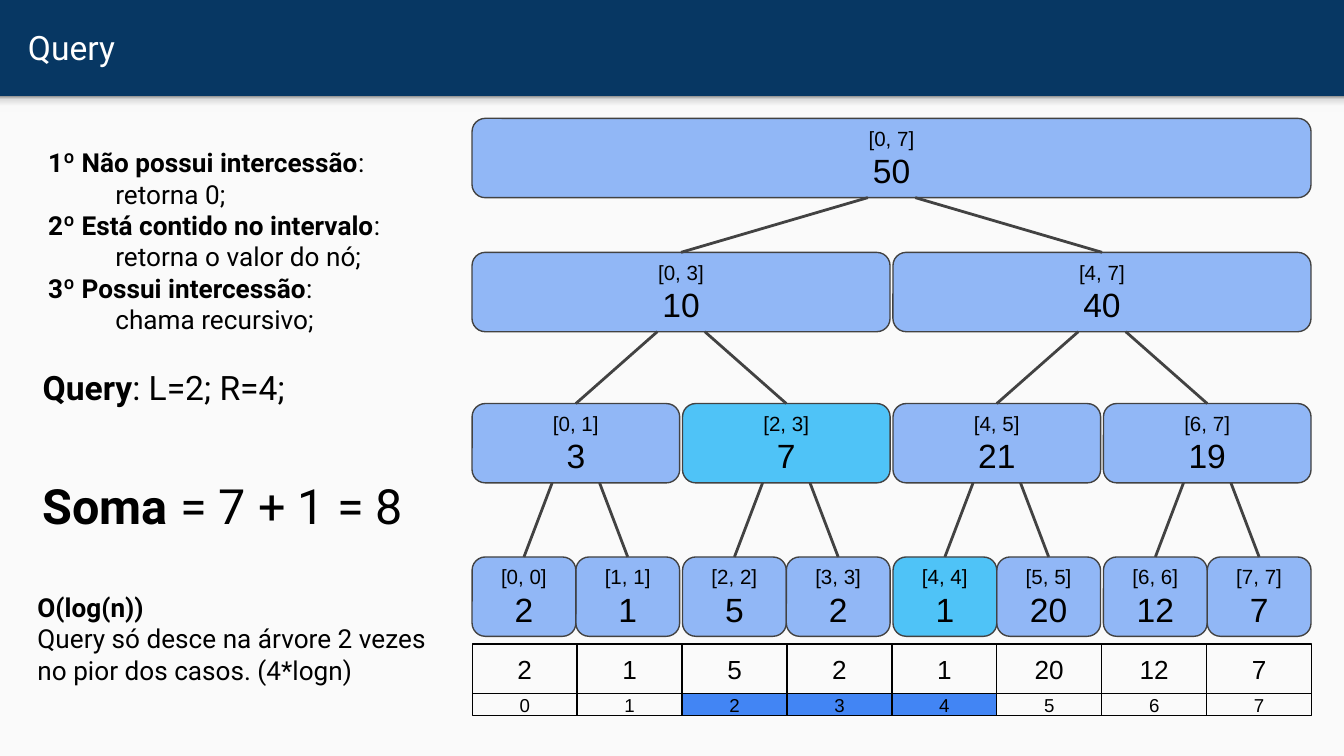
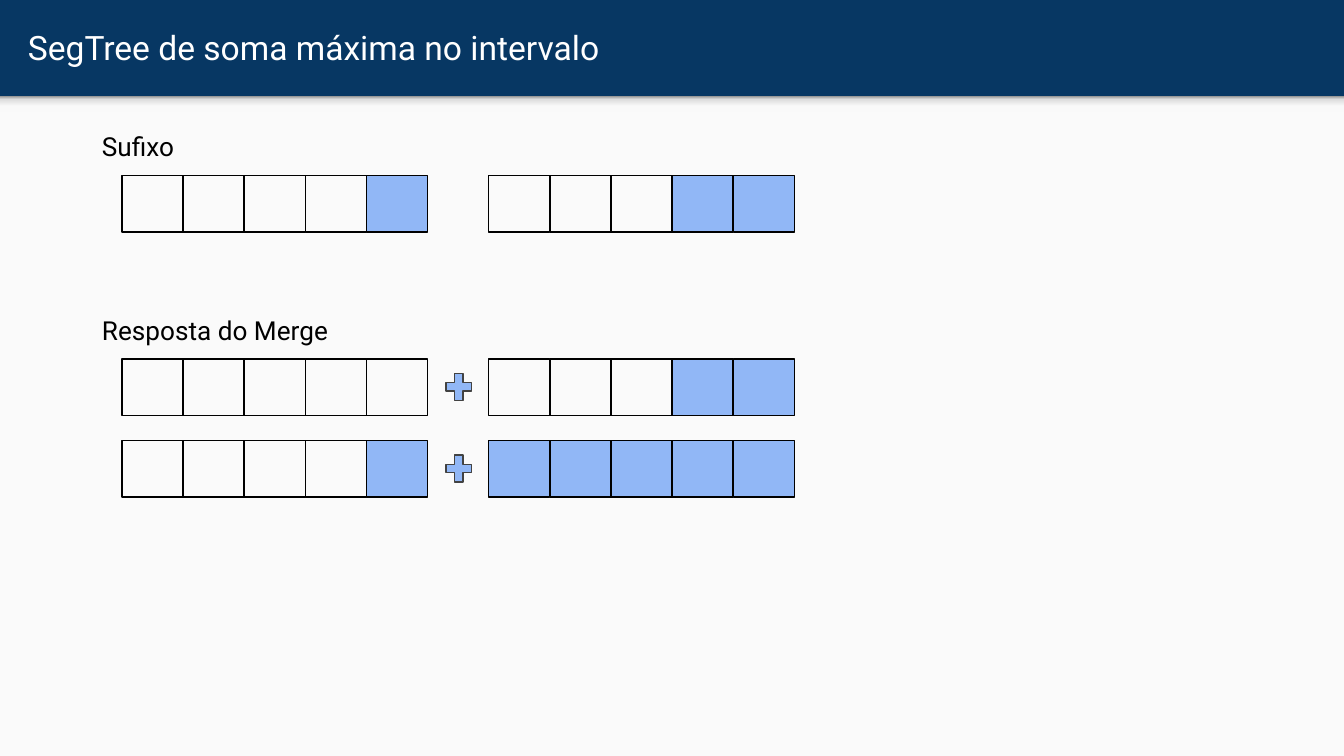
from lxml import etree
from pptx import Presentation
from pptx.dml.color import RGBColor
from pptx.enum import shapes, text
from pptx.oxml import ns
from pptx.util import Pt

NAVY, PAPER, WHITE, BLACK, GRAY = "073763", "FAFAFA", "FFFFFF", "000000", "424242"
BLUE, CYAN = "4285F4", "4FC3F7"
TITLE_FONT, NODE_FONT = "Roboto", "Arial"
SHAPE = shapes.MSO_SHAPE
BAND_HEIGHT = 51.6

VALUES = [2, 1, 5, 2, 1, 20, 12, 7]
QUERY = range(2, 5)
TREE_LEFT, PAIR_PITCH, LEAF_WIDTH, NODE_HEIGHT = 252.9, 112.75, 55.6, 42.5
LEVEL_TOPS = [63.4, 135.2, 216.2, 298.4]
EDGE_OFFSET = 12.7
CELL_LEFT, CELL_PITCH = 253, 56.2

BLOCK_LEFT, BLOCK_PITCH, BLOCK_HEIGHT = 65.3, 32.75, 30.3


def color(value):
    """Turn a hex string into a colour."""
    return RGBColor.from_string(value)


class Deck:
    """Hold the shared style and the current slide."""

    def __init__(self):
        """Start an empty widescreen presentation."""
        self.presentation = Presentation()
        self.presentation.slide_width = Pt(720)
        self.presentation.slide_height = Pt(405)
        self.slide = None

    def add_slide(self, title):
        """Add a slide with its band, paper area, shade and title."""
        self.slide = self.presentation.slides.add_slide(self.presentation.slide_layouts[6])
        background = self.slide.background.fill
        background.solid()
        background.fore_color.rgb = color(NAVY)
        self.box(0, BAND_HEIGHT, 720, 405 - BAND_HEIGHT, fill=PAPER, line=None)
        self.band_shade()
        title_box = self.text_box(7.9, 1.4, 694.8, 47.5, [("", title)], 18, WHITE, grow=False)
        title_box.text_frame.vertical_anchor = text.MSO_ANCHOR.MIDDLE

    def band_shade(self):
        """Draw the soft shade below the title band."""
        shade = self.box(0, BAND_HEIGHT, 720, 8.6, line=None)
        shade.fill.gradient()
        shade.fill.gradient_angle = 90
        stops = shade._element.spPr.find(".//" + ns.qn("a:gsLst"))
        for stop in list(stops):
            stops.remove(stop)
        for position, value in [(0, "F9F9F9"), (36, "F9F9F9"), (80, "DEDEDE"), (100, "999999")]:
            stop = etree.SubElement(stops, ns.qn("a:gs"), pos=str(position * 1000))
            etree.SubElement(stop, ns.qn("a:srgbClr"), val=value)

    def box(self, left, top, width, height, kind=SHAPE.RECTANGLE, fill=None, line=BLACK, alpha=None):
        """Draw a preset shape with an optional fill and outline."""
        shape = self.slide.shapes.add_shape(kind, Pt(left), Pt(top), Pt(width), Pt(height))
        shape.shadow.inherit = False
        if fill:
            shape.fill.solid()
            shape.fill.fore_color.rgb = color(fill)
        else:
            shape.fill.background()
        if alpha:
            fill_color = shape._element.spPr.find(".//" + ns.qn("a:srgbClr"))
            etree.SubElement(fill_color, ns.qn("a:alpha"), val=str(alpha * 1000))
        if line:
            shape.line.color.rgb = color(line)
            shape.line.width = Pt(0.75)
        else:
            shape.line.fill.background()
        return shape

    def set_margins(self, frame):
        """Wrap the text and give it equal insets."""
        frame.word_wrap = True
        frame.margin_left = frame.margin_right = Pt(7.2)
        frame.margin_top = frame.margin_bottom = Pt(7.2)

    def style(self, font, name, size, value=BLACK):
        """Set the face, size and colour of a font."""
        font.name = name
        font.size = Pt(size)
        font.color.rgb = color(value)

    def label(self, shape, lines, sizes):
        """Centre lines of text in a shape, each with its size."""
        frame = shape.text_frame
        self.set_margins(frame)
        frame.vertical_anchor = text.MSO_ANCHOR.MIDDLE
        frame.text = "\n".join(lines)
        for paragraph, size in zip(frame.paragraphs, sizes):
            paragraph.alignment = text.PP_ALIGN.CENTER
            self.style(paragraph.runs[0].font, NODE_FONT, size)

    def text_box(self, left, top, width, height, lines, size, value=BLACK, grow=True):
        """Write lines, each a bold part followed by a plain part."""
        shape = self.slide.shapes.add_textbox(Pt(left), Pt(top), Pt(width), Pt(height))
        frame = shape.text_frame
        self.set_margins(frame)
        if grow:
            frame.auto_size = text.MSO_AUTO_SIZE.SHAPE_TO_FIT_TEXT
        for index, parts in enumerate(lines):
            paragraph = frame.add_paragraph() if index else frame.paragraphs[0]
            for part, bold in zip(parts, (True, False)):
                if part:
                    run = paragraph.add_run()
                    run.text = part
                    run.font.bold = bold
                    self.style(run.font, TITLE_FONT, size, value)
        return shape

    def edge(self, left, top, child):
        """Draw a line from a point to the top of a child node."""
        connector = self.slide.shapes.add_connector(
            shapes.MSO_CONNECTOR.STRAIGHT, Pt(left), Pt(top), child.left, child.top)
        connector.end_connect(child, 0)
        connector.line.color.rgb = color(GRAY)
        connector.line.width = Pt(1.5)
        etree.SubElement(connector._element.spPr, ns.qn("a:effectLst"))

    def tree(self, first, last, level=0, covered=False):
        """Draw the node of an interval and all nodes below it."""
        left, right = leaf_left(first), leaf_left(last) + LEAF_WIDTH
        top = LEVEL_TOPS[level]
        inside = first in QUERY and last in QUERY
        fill, alpha = (CYAN, None) if inside and not covered else (BLUE, 57)
        node = self.box(left, top, right - left, NODE_HEIGHT, SHAPE.ROUNDED_RECTANGLE, fill, GRAY, alpha)
        total = sum(VALUES[first:last + 1])
        self.label(node, [f"[{first}, {last}]", str(total)], [11, 18])
        if first < last:
            middle = (first + last) // 2
            for start, end, side in [(first, middle, -1), (middle + 1, last, 1)]:
                child = self.tree(start, end, level + 1, inside)
                self.edge((left + right) / 2 + side * EDGE_OFFSET, top + NODE_HEIGHT, child)
        return node

    def array(self):
        """Draw the values of the array above their indices."""
        for index, number in enumerate(VALUES):
            left = CELL_LEFT + index * CELL_PITCH
            cell = self.box(left, 345, CELL_PITCH, 26.5)
            self.label(cell, [str(number)], [14])
            fill = BLUE if index in QUERY else None
            cell = self.box(left, 371.5, CELL_PITCH, 12, fill=fill)
            self.label(cell, [str(index)], [10])

    def blocks(self, top, filled_left, filled_right, plus=False):
        """Draw two rows of five blocks, filled from their right ends."""
        for start, filled in [(0, filled_left), (6, filled_right)]:
            for index in range(5):
                fill, alpha = (BLUE, 57) if index >= 5 - filled else (None, None)
                self.box(BLOCK_LEFT + (start + index) * BLOCK_PITCH, top,
                         BLOCK_PITCH, BLOCK_HEIGHT, fill=fill, alpha=alpha)
        if plus:
            sign = self.box(236.5, top + 5.2, 18.7, 19.6, SHAPE.MATH_PLUS, BLUE, GRAY, 57)
            sign.adjustments[0] = 0.235


def leaf_left(index):
    """Give the left side of a leaf, with a gap after each pair."""
    return TREE_LEFT + index // 2 * PAIR_PITCH + index % 2 * LEAF_WIDTH


def query_slide(deck):
    """Build the slide about the interval query."""
    deck.add_slide("Query")
    deck.array()
    deck.tree(0, len(VALUES) - 1)
    deck.text_box(18.7, 71.3, 195.1, 116.6, [
        ("1º Não possui intercessão", ":"),
        ("", "\tretorna 0;"),
        ("2º Está contido no intervalo", ":"),
        ("", "\tretorna o valor do nó;"),
        ("3º Possui intercessão", ":"),
        ("", "\tchama recursivo;"),
    ], 14)
    deck.text_box(15.8, 189.4, 184.3, 58.3, [("Query", ": L=2; R=4;")], 18)
    deck.text_box(15.8, 247.7, 228.2, 46, [("Soma", " = 7 + 1 = 8")], 26)
    deck.text_box(13, 309.6, 228.2, 65.5, [
        ("O(log(n))", ""),
        ("", "Query só desce na árvore 2 vezes no pior dos casos. (4*logn)"),
    ], 14)


def suffix_slide(deck):
    """Build the slide about the suffix of a merged node."""
    deck.add_slide("SegTree de soma máxima no intervalo")
    for top, heading in [(62.6, "Sufixo"), (161, "Resposta do Merge")]:
        deck.text_box(47.5, top, 295.9, 31.7, [("", heading)], 14)
    deck.blocks(94, 1, 2)
    deck.blocks(192.3, 0, 2, plus=True)
    deck.blocks(236, 1, 5, plus=True)


def main():
    """Build and save the slides."""
    deck = Deck()
    query_slide(deck)
    suffix_slide(deck)
    deck.presentation.save("out.pptx")


if __name__ == "__main__":
    main()
